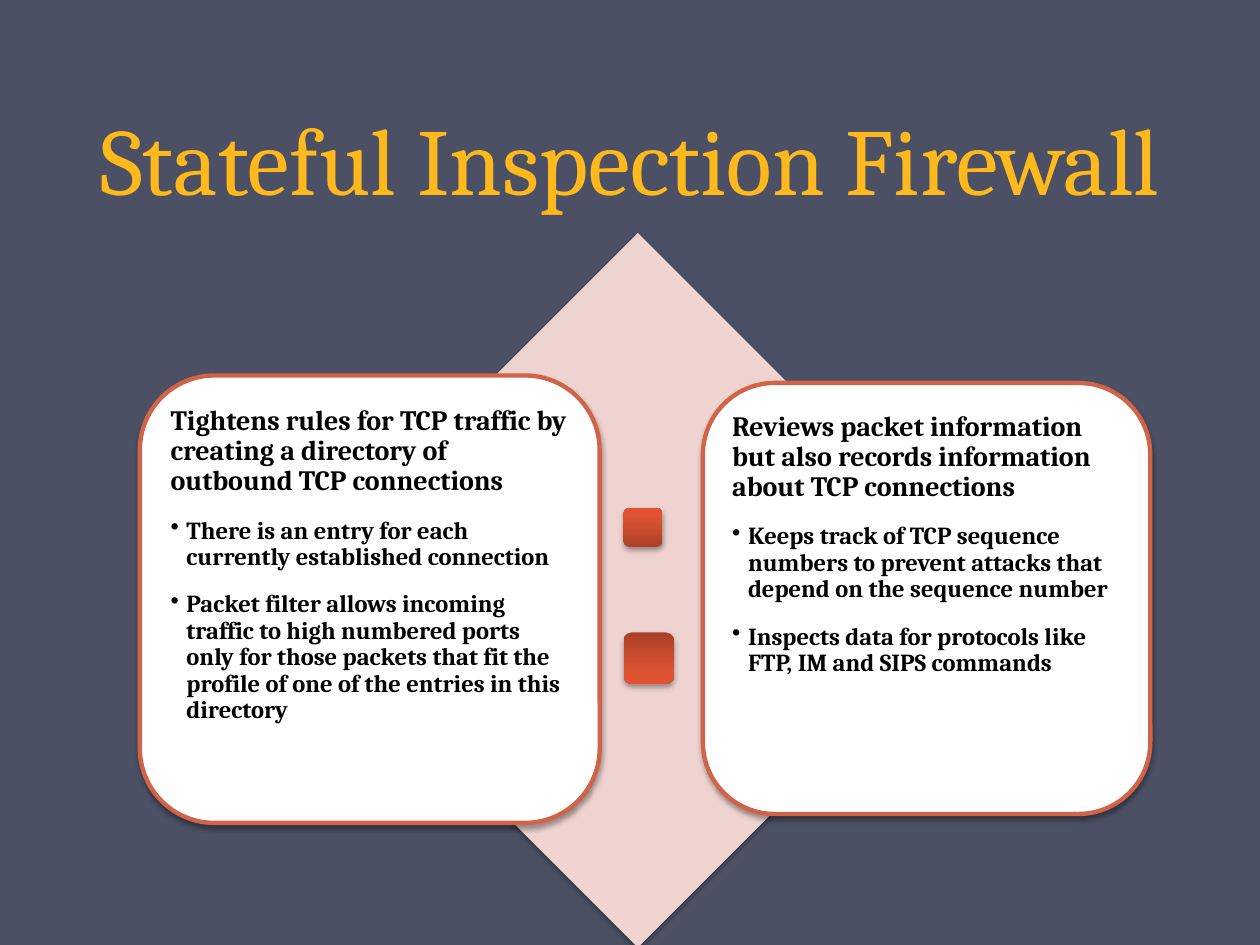
from copy import deepcopy
from dataclasses import dataclass

from lxml import etree
from pptx import Presentation
from pptx.dml.color import RGBColor
from pptx.enum.shapes import MSO_SHAPE
from pptx.enum.text import MSO_ANCHOR, PP_ALIGN
from pptx.oxml.ns import qn
from pptx.util import Cm, Pt

DIAMOND, ROUNDED = MSO_SHAPE.DIAMOND, MSO_SHAPE.ROUNDED_RECTANGLE
TOP, BOTTOM = MSO_ANCHOR.TOP, MSO_ANCHOR.BOTTOM
LEFT, CENTER = PP_ALIGN.LEFT, PP_ALIGN.CENTER


@dataclass(frozen=True)
class Theme:
    background: str = "4B5064"
    title: str = "FFB91D"
    diamond: str = "EED3D0"
    panel: str = "FFFFFF"
    border: str = "D16349"
    text: str = "000000"
    gradient: tuple = ((0, "AB4027"), (0.8, "DE5433"), (1, "E35230"))
    font: str = "Cambria"
    title_size: int = 54
    heading_size: int = 16
    bullet_size: int = 14


class SlideBuilder:
    def __init__(self, slide, theme):
        self.slide = slide
        self.theme = theme
        fill = slide.background.fill
        fill.solid()
        fill.fore_color.rgb = RGBColor.from_string(theme.background)

    def shape(self, kind, bounds, color=None, border=None):
        shape = self.slide.shapes.add_shape(kind, *map(Cm, bounds))
        if color:
            shape.fill.solid()
            shape.fill.fore_color.rgb = RGBColor.from_string(color)
        if border:
            shape.line.color.rgb = RGBColor.from_string(border)
            shape.line.width = Pt(2.5)
        else:
            shape.line.fill.background()
        self.drop_shadow(shape)
        return shape

    def drop_shadow(self, shape):
        shape.shadow.inherit = False
        effects = shape.element.spPr.find(qn("a:effectLst"))
        shadow = etree.SubElement(
            effects, qn("a:outerShdw"), blurRad=str(Pt(3.1)),
            dist=str(Pt(1.8)), dir="5400000", rotWithShape="0")
        color = etree.SubElement(shadow, qn("a:srgbClr"), val="000000")
        etree.SubElement(color, qn("a:alpha"), val="35000")

    def gradient_square(self, bounds, flipped=False):
        shape = self.shape(ROUNDED, bounds)
        shape.fill.gradient()
        shape.fill.gradient_angle = 90
        stop_list = shape.element.spPr.find(qn("a:gradFill")).find(qn("a:gsLst"))
        stop_list.append(deepcopy(stop_list[0]))
        for stop, (position, color) in zip(shape.fill.gradient_stops, self.theme.gradient):
            stop.position = position
            stop.color.rgb = RGBColor.from_string(color)
        if flipped:
            shape.element.spPr.xfrm.set("flipV", "1")

    def text_box(self, bounds, anchor, inset=None):
        frame = self.slide.shapes.add_textbox(*map(Cm, bounds)).text_frame
        frame.word_wrap = True
        frame.vertical_anchor = anchor
        if inset is not None:
            frame.margin_left = frame.margin_right = Cm(inset)
            frame.margin_top = frame.margin_bottom = Cm(inset)
        return frame

    def add_span(self, para, text, size, color, bold=False, align=LEFT):
        para.alignment = align
        span = para.add_run()
        span.text = text
        span.font.name = self.theme.font
        span.font.size = Pt(size)
        span.font.bold = bold
        span.font.color.rgb = RGBColor.from_string(color)

    def title(self, text, bounds):
        para = self.text_box(bounds, BOTTOM).paragraphs[0]
        para.line_spacing = Pt(58)
        self.add_span(para, text, self.theme.title_size, self.theme.title, align=CENTER)

    def bullet(self, para):
        para.level = 1
        properties = para._p.get_or_add_pPr()
        properties.set("marL", str(Cm(0.32)))
        properties.set("indent", str(Cm(-0.32)))
        etree.SubElement(properties, qn("a:buChar"), char="•")

    def panel(self, bounds, inset, heading, bullets):
        """Draw a bordered panel with a heading and bullets inside its rounded corners."""
        theme = self.theme
        self.shape(ROUNDED, bounds, theme.panel, theme.border)
        left, top, width, height = bounds
        gap = 0.44
        frame = self.text_box(
            (left + gap, top + gap, width - 2 * gap, height - 2 * gap), TOP, inset)
        for index, text in enumerate([heading, *bullets]):
            para = frame.add_paragraph() if index else frame.paragraphs[0]
            if index:
                self.bullet(para)
            para.line_spacing = 0.9
            para.space_after = Pt(12)
            size = theme.bullet_size if index else theme.heading_size
            self.add_span(para, text, size, theme.text, bold=True)


def main():
    deck = Presentation()
    deck.slide_width, deck.slide_height = Cm(25.4), Cm(19.05)
    theme = Theme()
    page = SlideBuilder(deck.slides.add_slide(deck.slide_layouts[6]), theme)

    page.title("Stateful Inspection Firewall", (1.27, 0, 22.86, 4.45))
    page.shape(DIAMOND, (5.66, 4.7, 14.4, 14.4), theme.diamond)
    page.panel(
        (2.82, 7.57, 9.27, 9.02), 0.18,
        "Tightens rules for TCP traffic by creating a directory of outbound TCP connections",
        ["There is an entry for each currently established connection",
         "Packet filter allows incoming traffic to high numbered ports only for those "
         "packets that fit the profile of one of the entries in this directory"])
    page.panel(
        (14.17, 7.72, 9.02, 8.69), 0.15,
        "Reviews packet information but also records information about TCP connections",
        ["Keeps track of TCP sequence numbers to prevent attacks that depend on the "
         "sequence number",
         "Inspects data for protocols like FTP, IM and SIPS commands"])
    page.gradient_square((12.57, 10.24, 0.79, 0.79))
    page.gradient_square((12.57, 12.75, 1.02, 1.04), flipped=True)

    deck.save("out.pptx")


if __name__ == "__main__":
    main()
